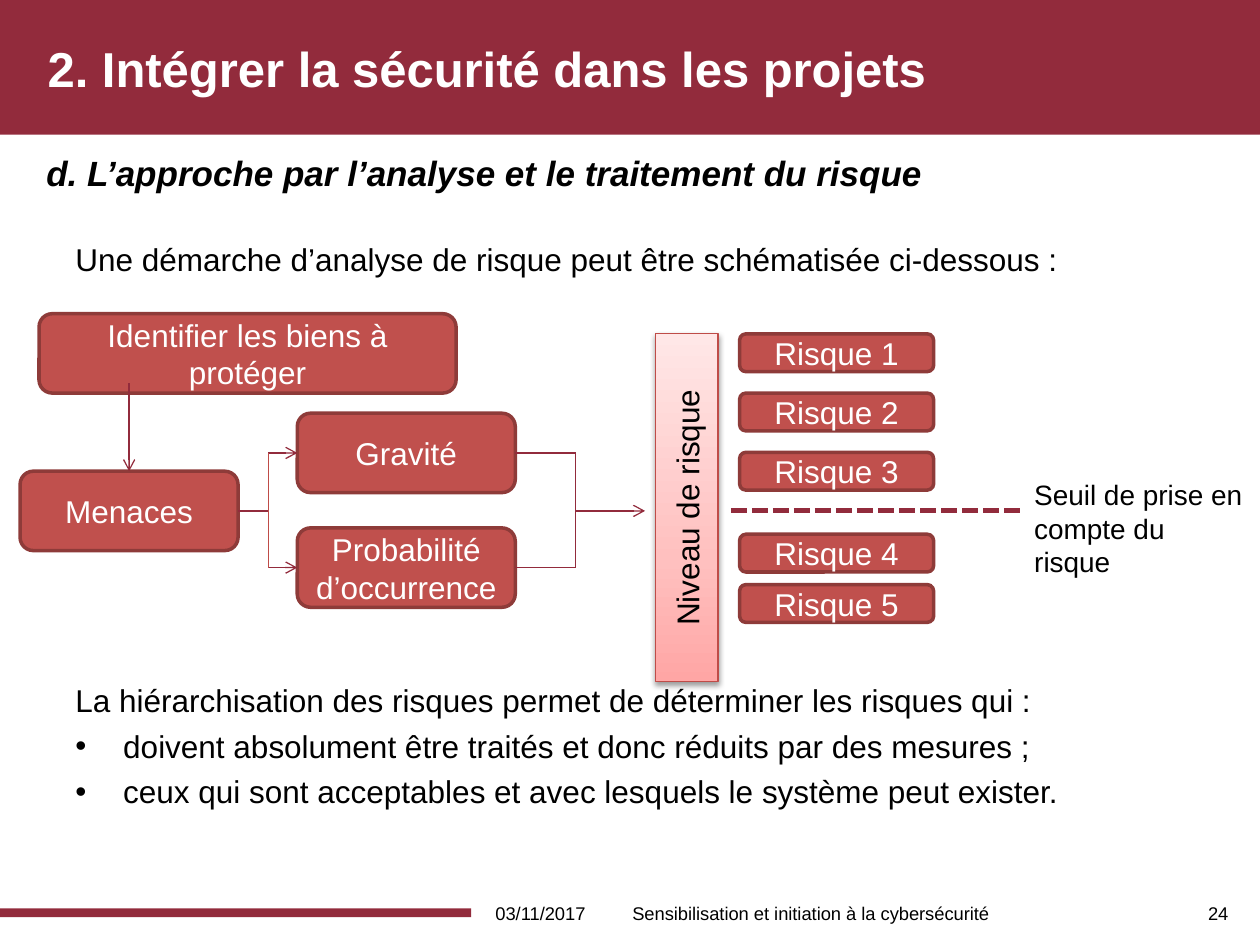
from copy import deepcopy

from lxml import etree
from pptx import Presentation
from pptx.dml.color import RGBColor
from pptx.enum.dml import MSO_LINE
from pptx.enum.shapes import MSO_CONNECTOR, MSO_SHAPE
from pptx.enum.text import MSO_ANCHOR, PP_ALIGN
from pptx.oxml.ns import qn
from pptx.util import Inches, Pt

RECT, ROUND = MSO_SHAPE.RECTANGLE, MSO_SHAPE.ROUNDED_RECTANGLE
STRAIGHT = MSO_CONNECTOR.STRAIGHT
DASH = MSO_LINE.SQUARE_DOT
TOP, MIDDLE = MSO_ANCHOR.TOP, MSO_ANCHOR.MIDDLE
LEFT, CENTER, JUST = PP_ALIGN.LEFT, PP_ALIGN.CENTER, PP_ALIGN.JUSTIFY
NORTH, WEST, EAST = 0, 1, 3

WIDTH, HEIGHT = Inches(10), Inches(7.5)
COLS, ROWS = 100, 75
HEX = {"wine": "922B3C", "brick": "C0504D", "edge": "8E3B39", "rose": "BF4C48",
       "white": "FFFFFF", "black": "000000"}
SHADE = {0: "FFA6A5", 0.35: "FFC0BF", 1: "FFE7E7"}
BODY = {"size": Pt(18)}
SMALL = {"size": Pt(10.5)}
NOTE = {"size": Pt(16)}
TITLE = {"size": Pt(28), "bold": True}
HEAD = {"size": Pt(20), "bold": True, "italic": True}


def tint(name):
    """Return the named colour."""
    return RGBColor.from_string(HEX[name])


def place(col, row):
    """Turn a grid point into slide lengths."""
    return round(WIDTH * col / COLS), round(HEIGHT * row / ROWS)


def add_node(parent, tag, **attrs):
    """Append a drawing element with its attributes."""
    node = etree.SubElement(parent, qn(tag))
    for key, value in attrs.items():
        node.set(key, value)
    return node


def write(shape, lines, form, color="black", align=LEFT, anchor=TOP, bullets=False):
    """Fill a shape with paragraphs, with bullets after the first if asked."""
    frame = shape.text_frame
    frame.word_wrap = True
    frame.vertical_anchor = anchor
    for i, line in enumerate(lines):
        para = frame.add_paragraph() if i else frame.paragraphs[0]
        para.text = line
        para.alignment = align
        if i:
            para.space_before = Pt(4.4)
        if i and bullets:
            props = para._p.get_or_add_pPr()
            props.set("marL", str(Inches(0.38)))
            props.set("indent", str(-Inches(0.38)))
            add_node(props, "a:buFont", typeface="Arial")
            add_node(props, "a:buChar", char="•")
        for key, value in {"name": "Arial", **form}.items():
            setattr(para.font, key, value)
        para.font.color.rgb = tint(color)


def add_text(slide, area, lines, form, **style):
    """Add a text box on the grid."""
    box = slide.shapes.add_textbox(*place(*area[:2]), *place(*area[2:]))
    write(box, lines, form, **style)


def add_block(slide, kind, area, fill, edge=None, weight=2):
    """Add a flat shape on the grid."""
    block = slide.shapes.add_shape(kind, *place(*area[:2]), *place(*area[2:]))
    block.shadow.inherit = False
    block.fill.solid()
    block.fill.fore_color.rgb = tint(fill)
    if edge:
        block.line.color.rgb = tint(edge)
        block.line.width = Pt(weight)
    else:
        block.line.fill.background()
    return block


def add_step(slide, area, label):
    """Add a rounded box with a label."""
    step = add_block(slide, ROUND, area, "brick", "edge")
    write(step, [label], BODY, "white", CENTER, MIDDLE)
    return step


def add_gauge(slide, area, label):
    """Add the shaded upright bar with turned text."""
    gauge = add_block(slide, RECT, area, "white", "rose", 0.75)
    gauge.fill.gradient()
    gauge.fill.gradient_angle = 90
    stops = gauge.element.spPr.find(".//" + qn("a:gsLst"))
    stops.append(deepcopy(stops[0]))
    for stop, (spot, shade) in zip(gauge.fill.gradient_stops, SHADE.items()):
        stop.position = spot
        stop.color.rgb = RGBColor.from_string(shade)
    glow = add_node(gauge.element.spPr.find(qn("a:effectLst")), "a:outerShdw",
                    blurRad=str(Pt(3.1)), dist=str(Pt(1.6)), dir="5400000", rotWithShape="0")
    ink = add_node(glow, "a:srgbClr", val=HEX["black"])
    add_node(ink, "a:alpha", val="38000")
    write(gauge, [label], BODY, "black", CENTER, MIDDLE)
    gauge.element.find(".//" + qn("a:bodyPr")).set("vert", "vert270")


def add_wire(slide, start, end, color="wine", weight=0.75, arrow=False, dash=None,
             source=None, target=None):
    """Add a straight line, joined to (shape, side) pairs where given."""
    wire = slide.shapes.add_connector(STRAIGHT, *place(*start), *place(*end))
    if source:
        wire.begin_connect(*source)
    if target:
        wire.end_connect(*target)
    wire.line.color.rgb = tint(color)
    wire.line.width = Pt(weight)
    if dash:
        wire.line.dash_style = dash
    if arrow:
        add_node(wire.line._get_or_add_ln(), "a:tailEnd", type="arrow")
    add_node(wire.element.spPr, "a:effectLst")


def add_frame(slide):
    """Add the banner, the headings and the footer."""
    add_block(slide, RECT, (0, 0, COLS, 10.7), "wine")
    add_block(slide, RECT, (0, 72.1, 37.4, 0.7), "wine")
    add_text(slide, (2.8, 0.1, 95.3, 10.6), ["2. Intégrer la sécurité dans les projets"],
             TITLE, color="white", anchor=MIDDLE)
    add_text(slide, (2.7, 11.5, 95.3, 6.3),
             ["d. L’approche par l’analyse et le traitement du risque"], HEAD)
    for col, width, align, line in (
            (37.4, 11, CENTER, "03/11/2017"),
            (49.2, 33.2, LEFT, "Sensibilisation et initiation à la cybersécurité"),
            (94.9, 4.7, LEFT, "24")):
        add_text(slide, (col, 70.5, width, 4), [line], SMALL, align=align, anchor=MIDDLE)


def add_body(slide):
    """Add the text above and below the diagram."""
    add_text(slide, (5, 18.6, 90, 4),
             ["Une démarche d’analyse de risque peut être schématisée ci-dessous :"],
             BODY, align=JUST)
    add_text(slide, (5, 53.6, 90, 12),
             ["La hiérarchisation des risques permet de déterminer les risques qui :",
              "doivent absolument être traités et donc réduits par des mesures ;",
              "ceux qui sont acceptables et avec lesquels le système peut exister."],
             BODY, align=JUST, bullets=True)


def add_flow(slide):
    """Add the steps from assets to the risk level."""
    wide, tall = 17.3, 6.3
    threat = add_step(slide, (1.6, 37.4, wide, tall), "Menaces")
    mid, fork, merge = 37.4 + tall / 2, 21.3, 45.7
    left, right = 23.6, 23.6 + wide
    tops = {"Gravité": 32.8, "Probabilité d’occurrence": 41.9}
    rows = [top + tall / 2 for top in tops.values()]
    for row, (label, top) in zip(rows, tops.items()):
        part = add_step(slide, (left, top, wide, tall), label)
        add_wire(slide, (fork, row), (left, row), arrow=True, target=(part, WEST))
        add_wire(slide, (right, row), (merge, row), source=(part, EAST))
    for col, color in ((fork, "rose"), (merge, "wine")):
        add_wire(slide, (col, rows[0]), (col, rows[1]), color)
    add_wire(slide, (18.9, mid), (fork, mid), source=(threat, EAST))
    add_wire(slide, (merge, mid), (51.2, mid), arrow=True)
    add_step(slide, (3.1, 24.9, 33.1, tall), "Identifier les biens à protéger")
    add_wire(slide, (10.25, 30.4), (10.25, 37.4), arrow=True, target=(threat, NORTH))
    add_gauge(slide, (52, 26.5, 5, 27.6), "Niveau de risque")


def add_risks(slide):
    """Add the ranked risks and the threshold."""
    for rank, row in enumerate((26.5, 31.2, 35.9, 42.4, 46.4), 1):
        add_step(slide, (58.7, row, 15.4, 3), f"Risque {rank}")
    add_wire(slide, (58, 40.5), (81.1, 40.5), weight=3, dash=DASH)
    add_text(slide, (81.1, 37.4, 18.5, 9.1), ["Seuil de prise en compte du risque"], NOTE)


def main():
    """Build and save the slide."""
    deck = Presentation()
    deck.slide_width, deck.slide_height = WIDTH, HEIGHT
    slide = deck.slides.add_slide(deck.slide_layouts[6])
    for add in (add_frame, add_body, add_flow, add_risks):
        add(slide)
    deck.save("out.pptx")


if __name__ == "__main__":
    main()
